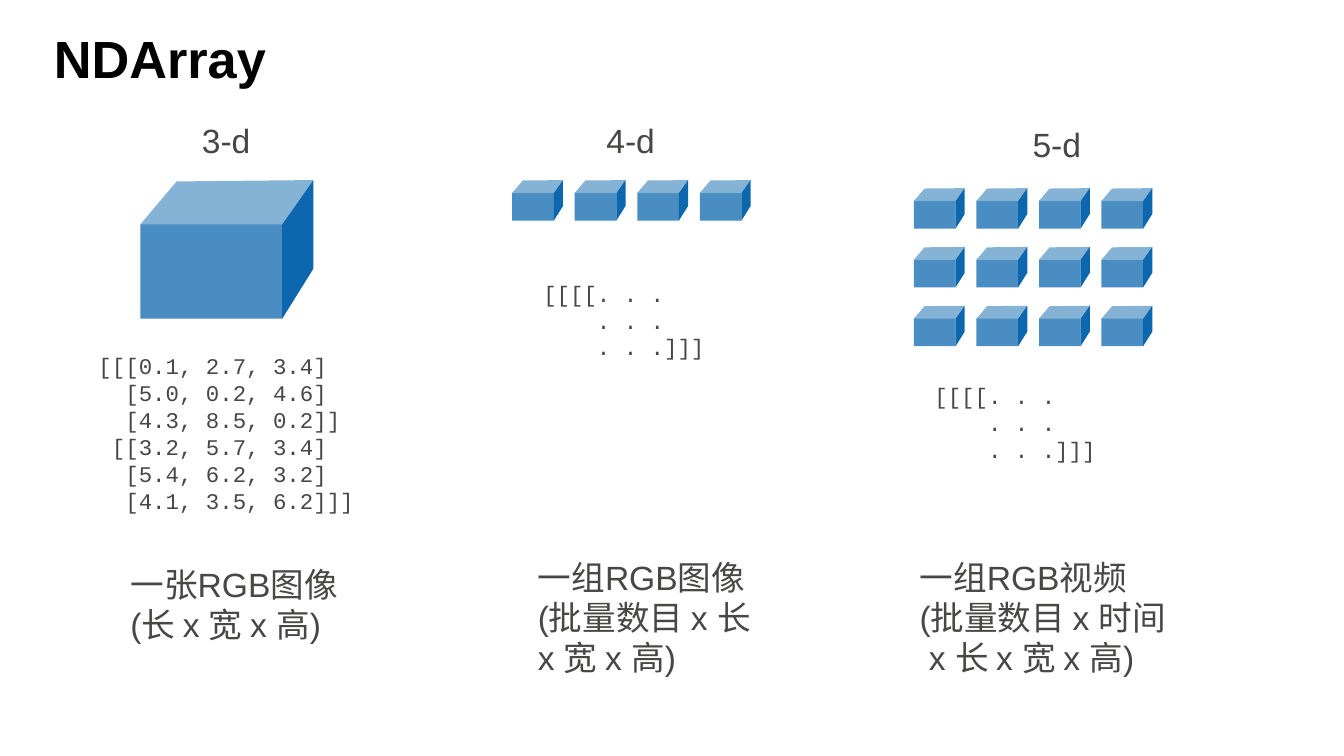
from pptx import Presentation
from pptx.dml.color import RGBColor
from pptx.enum.shapes import MSO_SHAPE
from pptx.enum.text import MSO_ANCHOR
from pptx.util import Pt

GREY, FRONT, TOP, SIDE = "474746", "498DC2", "85B3D6", "0C67AE"
DOTS = ["[[[[. . .", "    . . .", "    . . .]]]"]
BIG, SMALL = (92.7, 74.2), (27.2, 21.7)
STEP_X, STEP_Y = 33.5, 31.5

# Boxes are left, top, width, height; cubes are left, top, size, rows, columns.
# Each caption line is its text and its left indent.
COLUMNS = [
    dict(title="3-d", title_box=(104.4, 60.5, 34.6, 27.4),
         cubes=(75.2, 96.5, BIG, 1, 1),
         code=["[[[0.1, 2.7, 3.4]", "  [5.0, 0.2, 4.6]", "  [4.3, 8.5, 0.2]]",
               " [[3.2, 5.7, 3.4]", "  [5.4, 6.2, 3.2]", "  [4.1, 3.5, 6.2]]]"],
         code_box=(49, 185, 144.7, 102.2),
         caption=[("一张RGB图像", 0), ("(长 x 宽 x 高)", 0)],
         caption_box=(66.2, 298.1, 127.4, 51.1)),
    dict(title="4-d", title_box=(321.1, 60.5, 34.6, 27.4),
         cubes=(274.4, 96.5, SMALL, 1, 4),
         code=DOTS, code_box=(287.3, 146.2, 101.5, 69.8),
         caption=[("一组RGB图像", 0), ("(批量数目 x 长 x 宽 x 高)", 0)],
         caption_box=(284.4, 294.5, 127.4, 72.7)),
    dict(title="5-d", title_box=(549.4, 62.6, 34.6, 27.4),
         cubes=(489.6, 100.8, SMALL, 3, 4),
         code=DOTS, code_box=(496.8, 200.9, 101.5, 69.8),
         caption=[("一组RGB视频", 0), ("(批量数目 x 时间", 0), ("x 长 x 宽 x 高)", 5)],
         caption_box=(488.9, 294.5, 179.3, 72.7)),
]


def rgb(color):
    return RGBColor.from_string(color)


def add_text(s, box, lines, size, font="Arial", color=GREY, bold=False, wrap=False):
    """Add a text box with one paragraph per (text, left indent) line."""
    sp = s.shapes.add_textbox(*map(Pt, box))
    tf = sp.text_frame
    tf.word_wrap = wrap
    tf.margin_left = tf.margin_right = tf.margin_top = tf.margin_bottom = Pt(3.75)
    for i, (text, indent) in enumerate(lines):
        p = tf.paragraphs[0] if i == 0 else tf.add_paragraph()
        if indent:
            p._p.get_or_add_pPr().set("marL", str(Pt(indent)))
        r = p.add_run()
        r.text = text
        r.font.size, r.font.name, r.font.bold = Pt(size), font, bold
        r.font.color.rgb = rgb(color)
    return tf


def paint(sp, color):
    sp.shadow.inherit = False
    sp.fill.solid()
    sp.fill.fore_color.rgb = rgb(color)
    sp.line.fill.background()


def add_face(group, points, color):
    pts = [(Pt(x), Pt(y)) for x, y in points]
    builder = group.shapes.build_freeform(*pts[0], scale=1.0)
    builder.add_line_segments(pts[1:], close=True)
    paint(builder.convert_to_shape(), color)


def add_cube(group, x, y, size):
    w, h = size
    right, bottom = x + w, y + h
    edge_x, edge_y = x + 0.82 * w, y + 0.32 * h
    front = group.shapes.add_shape(MSO_SHAPE.RECTANGLE, Pt(x), Pt(edge_y - 0.3),
                                   Pt(edge_x - x), Pt(bottom - edge_y + 0.3))
    paint(front, FRONT)
    add_face(group, [(x, edge_y), (edge_x, edge_y), (right, y),
                     (x + 0.21 * w, y + 0.01 * h)], TOP)
    add_face(group, [(right, y), (edge_x, edge_y), (edge_x, bottom),
                     (right, y + 0.64 * h)], SIDE)


prs = Presentation()
prs.slide_width, prs.slide_height = Pt(720), Pt(405)
s = prs.slides.add_slide(prs.slide_layouts[6])

heading = add_text(s, (25.2, 9.4, 645.8, 43.2), [("NDArray", 0)], 28,
                   color="000000", bold=True, wrap=True)
heading.vertical_anchor = MSO_ANCHOR.MIDDLE

for col in COLUMNS:
    add_text(s, col["title_box"], [(col["title"], 0)], 18)
    left, top, size, rows, columns = col["cubes"]
    group = s.shapes.add_group_shape()
    for row in range(rows):
        for column in range(columns):
            add_cube(group, left + column * STEP_X, top + row * STEP_Y, size)
    add_text(s, col["code_box"], [(line, 0) for line in col["code"]], 12, "Courier New")
    add_text(s, col["caption_box"], col["caption"], 18, wrap=True)

prs.save("out.pptx")
